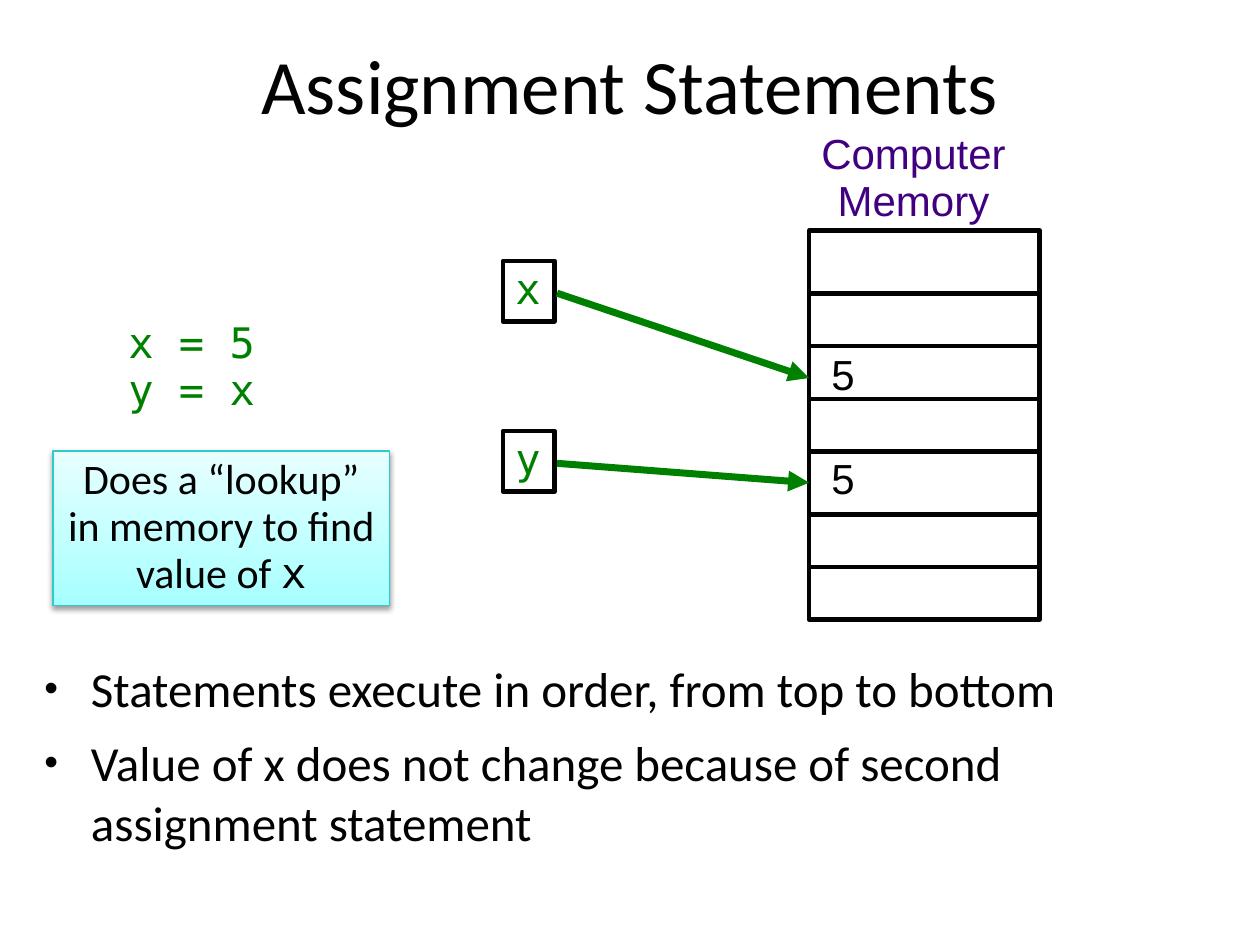
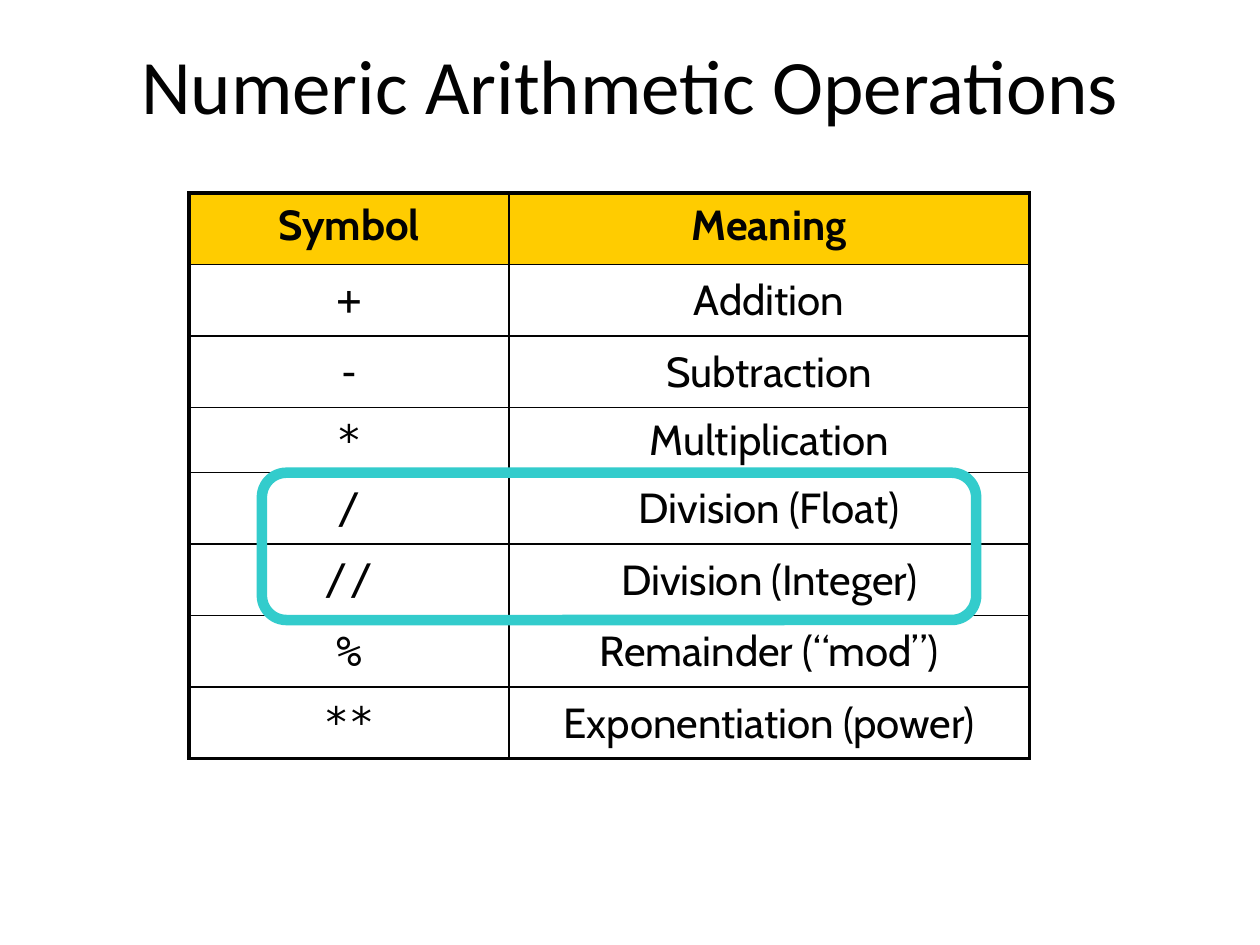
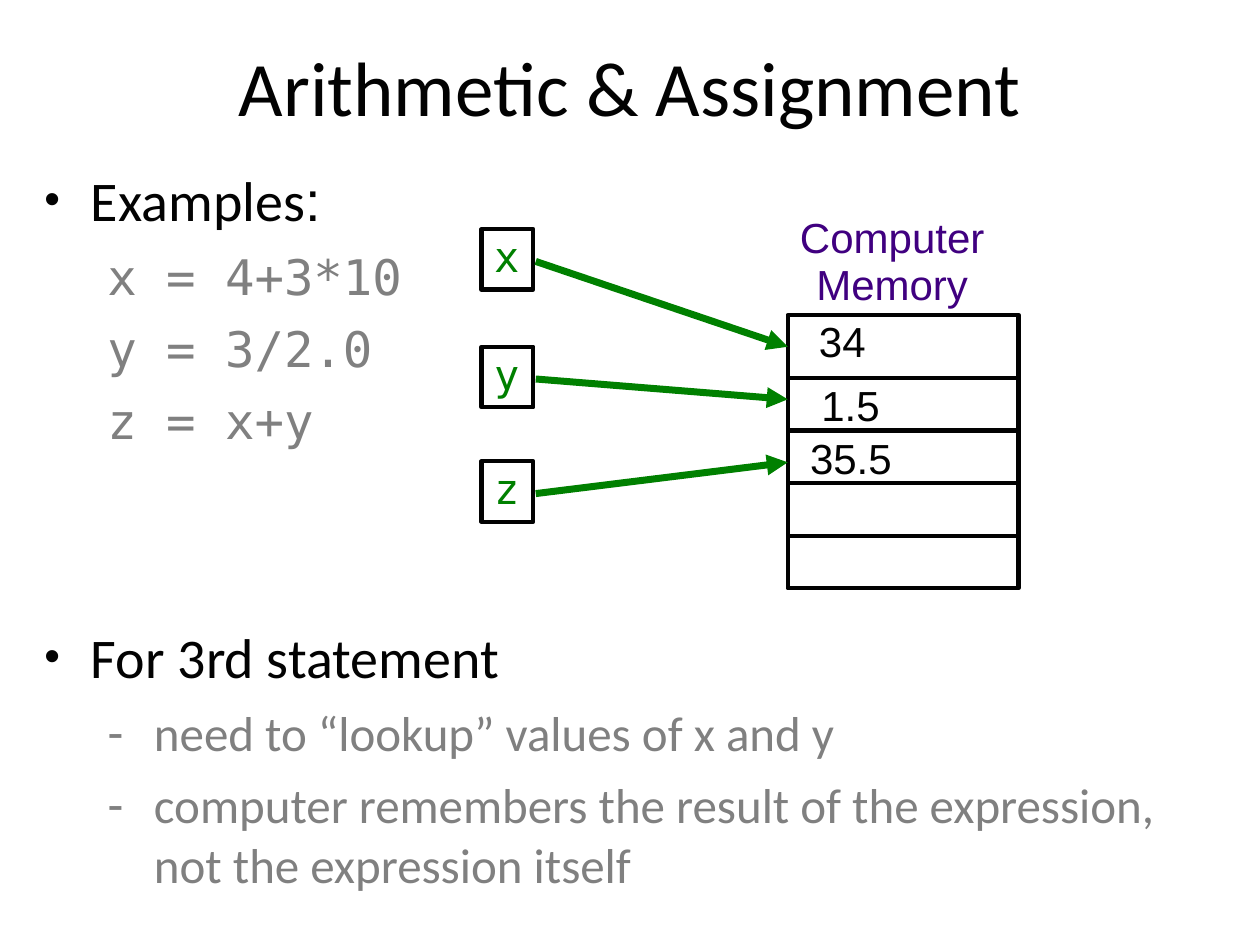
from dataclasses import dataclass

from lxml import etree
from pptx import Presentation
from pptx import util as u
from pptx.dml.color import RGBColor
from pptx.enum import shapes, text
from pptx.oxml.ns import qn

COLORS = {
    "ink": "020202",
    "code": "008000",
    "caption": "400080",
    "sub": "808080",
    "header": "FFCC00",
    "ring": "33CCCC",
    "note_line": "2ECBCB",
    "note_low": "A7FFFF",
    "note_high": "E7FFFF",
    "shadow": "000000",
}
SANS, MONO, ARIAL, TABLE_FONT = "Calibri", "DejaVu Sans Mono", "Arial", "Cabin"
LABEL_SIZE = 24
LABEL_SPACING, BODY_SPACING = 0.93, 1.02


@dataclass(frozen=True)
class Box:
    """A place on the slide, in centimetres."""
    left: float
    top: float
    width: float
    height: float

    def emu(self) -> tuple:
        return tuple(u.Cm(v) for v in (self.left, self.top, self.width, self.height))


@dataclass(frozen=True)
class Item:
    """One paragraph of a body list."""
    text: str
    size: int = 28
    font: str = SANS
    color: str = "ink"
    level: int = 0
    bullet: str = "•"
    before: int = 8
    tail: str = ""


@dataclass(frozen=True)
class Variable:
    """A named box, the height its arrow ends at, and the stored value."""
    name: str
    top: float
    target: float
    value: str
    value_box: Box


@dataclass(frozen=True)
class Memory:
    left: float
    top: float
    rows: tuple
    variables: tuple
    width: float = 4.65


TITLE_BOX = Box(0.64, 0.2, 24.13, 2.95)


# Text and line helpers
def rgb(name: str) -> RGBColor:
    return RGBColor.from_string(COLORS[name])


def style_run(r, size: float, font: str, color: str, bold: bool = False) -> None:
    r.font.size = u.Pt(size)
    r.font.name = font
    r.font.bold = bold
    r.font.color.rgb = rgb(color)


def style_text(tf, size: float, font: str, color: str, spacing: float,
               align=text.PP_ALIGN.LEFT, bold: bool = False) -> None:
    for p in tf.paragraphs:
        p.alignment = align
        p.line_spacing = spacing
        for r in p.runs:
            style_run(r, size, font, color, bold)


def add_label(s, box: Box, words: str, font: str, color: str,
              align=text.PP_ALIGN.LEFT) -> None:
    tf = s.shapes.add_textbox(*box.emu()).text_frame
    tf.word_wrap = False
    tf.text = words
    style_text(tf, LABEL_SIZE, font, color, LABEL_SPACING, align)


def add_outline(s, kind, box: Box, color: str, width: float):
    sp = s.shapes.add_shape(kind, *box.emu())
    sp.shadow.inherit = False
    sp.fill.background()
    sp.line.color.rgb = rgb(color)
    sp.line.width = u.Pt(width)
    return sp


def add_line(s, x1: float, y1: float, x2: float, y2: float, color: str,
             width: float, arrow: bool = False) -> None:
    line = s.shapes.add_connector(shapes.MSO_CONNECTOR.STRAIGHT,
                                  u.Cm(x1), u.Cm(y1), u.Cm(x2), u.Cm(y2))
    line.line.color.rgb = rgb(color)
    line.line.width = u.Pt(width)
    if arrow:
        etree.SubElement(line.line._get_or_add_ln(), qn("a:tailEnd"), type="triangle")
    etree.SubElement(line._element.spPr, qn("a:effectLst"))


# Placeholders
def place(sp, box: Box) -> None:
    sp.left, sp.top, sp.width, sp.height = box.emu()


def add_slide(prs, layout: int, title: str, title_box: Box = TITLE_BOX):
    s = prs.slides.add_slide(prs.slide_layouts[layout])
    place(s.shapes.title, title_box)
    tf = s.shapes.title.text_frame
    tf.text = title
    tf.auto_size = text.MSO_AUTO_SIZE.NONE
    tf.vertical_anchor = text.MSO_ANCHOR.MIDDLE
    style_text(tf, 44, SANS, "ink", BODY_SPACING, text.PP_ALIGN.CENTER)
    return s


def set_bullet(p, item: Item) -> None:
    pPr = p._p.get_or_add_pPr()
    pPr.set("marL", str(u.Cm(0.94 + 1.27 * item.level)))
    pPr.set("indent", str(u.Cm(-0.94)))
    if not item.bullet:
        etree.SubElement(pPr, qn("a:buNone"))
        return
    if item.level == 0:
        etree.SubElement(pPr, qn("a:buSzPct"), val="80000")
    etree.SubElement(pPr, qn("a:buChar"), char=item.bullet)


def fill_body(s, box: Box, items: list[Item]) -> None:
    body = s.placeholders[1]
    place(body, box)
    tf = body.text_frame
    tf.auto_size = text.MSO_AUTO_SIZE.NONE
    for i, item in enumerate(items):
        p = tf.add_paragraph() if i else tf.paragraphs[0]
        p.text = item.text
        p.level = item.level
        p.line_spacing = BODY_SPACING
        p.space_before = u.Pt(item.before)
        set_bullet(p, item)
        for r in p.runs:
            style_run(r, item.size, item.font, item.color)
        if item.tail:
            r = p.add_run()
            r.text = item.tail
            style_run(r, item.size, ARIAL, item.color)


# Memory diagram
def add_variable(s, memory: Memory, var: Variable) -> None:
    box = Box(memory.left - 6.17, var.top, 1.04, 1.22)
    sp = add_outline(s, shapes.MSO_SHAPE.RECTANGLE, box, "ink", 2.5)
    tf = sp.text_frame
    tf.word_wrap = False
    tf.vertical_anchor = text.MSO_ANCHOR.TOP
    tf.text = var.name
    style_text(tf, LABEL_SIZE, MONO, "code", LABEL_SPACING)
    add_line(s, memory.left - 5.08, var.top + 0.65, memory.left, var.target,
             "code", 4, arrow=True)
    add_label(s, var.value_box, var.value, ARIAL, "ink")


def add_memory(s, memory: Memory) -> None:
    frame = Box(memory.left, memory.top, memory.width, sum(memory.rows))
    add_outline(s, shapes.MSO_SHAPE.RECTANGLE, frame, "ink", 2.5)
    add_label(s, Box(memory.left - 0.03, memory.top - 2.11, 4.27, 2.18),
              "Computer\nMemory", ARIAL, "caption", text.PP_ALIGN.CENTER)
    y = memory.top
    for height in memory.rows[:-1]:
        y += height
        add_line(s, memory.left, y, memory.left + memory.width, y, "ink", 2.5)
    for var in memory.variables:
        add_variable(s, memory, var)


# Callout with a gradient and a soft shadow
def add_lookup_note(s, box: Box) -> None:
    sp = add_outline(s, shapes.MSO_SHAPE.RECTANGLE, box, "note_line", 0.75)
    sp.fill.gradient()
    sp.fill.gradient_angle = 90
    for stop, color in zip(sp.fill.gradient_stops, ("note_low", "note_high")):
        stop.color.rgb = rgb(color)
    shadow = etree.SubElement(sp._element.spPr.find(qn("a:effectLst")), qn("a:outerShdw"),
                              blurRad=str(u.Pt(3.1)), dist=str(u.Pt(1.6)),
                              dir="5400000", rotWithShape="0")
    tint = etree.SubElement(shadow, qn("a:srgbClr"), val=COLORS["shadow"])
    etree.SubElement(tint, qn("a:alpha"), val="38000")
    tf = sp.text_frame
    tf.word_wrap = True
    tf.vertical_anchor = text.MSO_ANCHOR.TOP
    tf.text = "Does a “lookup” in memory to find value of "
    style_text(tf, LABEL_SIZE, SANS, "ink", LABEL_SPACING, text.PP_ALIGN.CENTER)
    r = tf.paragraphs[0].add_run()
    r.text = "x"
    style_run(r, LABEL_SIZE, MONO, "ink")


# Table of operators
def set_borders(cell, widths: dict[str, float]) -> None:
    tcPr = cell._tc.get_or_add_tcPr()
    for i, (side, width) in enumerate(widths.items()):
        ln = etree.Element(qn(f"a:ln{side}"), w=str(u.Pt(width)))
        fill = etree.SubElement(ln, qn("a:solidFill"))
        etree.SubElement(fill, qn("a:srgbClr"), val=COLORS["ink"])
        tcPr.insert(i, ln)


def add_operator_table(s, box: Box, rows: list[tuple[str, str]],
                       widths: tuple, heights: list[float]) -> None:
    table = s.shapes.add_table(len(rows), len(widths), *box.emu()).table
    table.first_row = table.horz_banding = False
    for col, width in zip(table.columns, widths):
        col.width = u.Cm(width)
    last_row, last_col = len(rows) - 1, len(widths) - 1
    for i, words in enumerate(rows):
        table.rows[i].height = u.Cm(heights[i])
        for j, word in enumerate(words):
            cell = table.cell(i, j)
            header = i == 0
            if header:
                cell.fill.solid()
                cell.fill.fore_color.rgb = rgb("header")
            else:
                cell.fill.background()
                cell.vertical_anchor = text.MSO_ANCHOR.MIDDLE
            cell.text = word
            font = TABLE_FONT if header or j else MONO
            style_text(cell.text_frame, LABEL_SIZE, font, "ink", BODY_SPACING,
                       text.PP_ALIGN.CENTER, bold=header)
            cell.text_frame.paragraphs[0].space_before = u.Pt(8)
            outer = {"L": j == 0, "R": j == last_col, "T": i == 0, "B": i == last_row}
            set_borders(cell, {side: 2.25 if edge else 1 for side, edge in outer.items()})


# Slides
def assignment_statements(prs) -> None:
    s = add_slide(prs, 1, "Assignment Statements")
    fill_body(s, Box(0.64, 13.13, 24.13, 5.08), [
        Item("Statements execute in order, from top to bottom"),
        Item("Value of x does not change because of second assignment statement"),
    ])
    add_memory(s, Memory(16.31, 4.65, (1.27, 1.06, 1.06, 1.06, 1.27, 1.06, 1.06), (
        Variable("x", 5.26, 7.62, "5", Box(16.51, 6.99, 0.99, 1.19)),
        Variable("y", 8.69, 9.73, "5", Box(16.51, 9.09, 0.99, 1.19)),
    )))
    add_label(s, Box(2.34, 6.35, 3.12, 2.18), "x = 5\ny = x", MONO, "code")
    add_lookup_note(s, Box(1.07, 9.09, 6.78, 3.12))


def arithmetic_operations(prs) -> None:
    s = add_slide(prs, 5, "Numeric Arithmetic Operations")
    rows = [
        ("Symbol", "Meaning"),
        ("+", "Addition"),
        ("-", "Subtraction"),
        ("*", "Multiplication"),
        ("/", "Division (Float)"),
        ("//", "Division (Integer)"),
        ("%", "Remainder (“mod”)"),
        ("**", "Exponentiation (power)"),
    ]
    heights = [1.32 if symbol == "*" else 1.44 for symbol, _ in rows]
    add_operator_table(s, Box(3.81, 3.89, 16.94, 11.4), rows, (6.45, 10.49), heights)
    add_outline(s, shapes.MSO_SHAPE.ROUNDED_RECTANGLE,
                Box(5.28, 9.53, 14.4, 2.97), "ring", 6)


def arithmetic_and_assignment(prs) -> None:
    s = add_slide(prs, 1, "Arithmetic & Assignment", Box(0.64, 0.61, 24.13, 2.18))
    code = [Item(line, 28, MONO, "sub", 1, "", 7)
            for line in ("x = 4+3*10", "y = 3/2.0", "z = x+y")]
    notes = [Item(line, 28, SANS, "sub", 1, "‑", 7) for line in (
        "need to “lookup” values of x and y",
        "computer remembers the result of the expression,\vnot the expression itself",
    )]
    fill_body(s, Box(0.64, 3.18, 24.13, 15.06), [
        Item("Examples", 32, tail=":"), *code,
        Item("For 3rd statement", 32, before=98), *notes,
    ])
    add_memory(s, Memory(15.88, 6.35, (1.27, 1.06, 1.06, 1.06, 1.06), (
        Variable("x", 4.62, 6.99, "34", Box(16.26, 6.32, 1.45, 1.19)),
        Variable("y", 6.99, 8.05, "1.5", Box(16.31, 7.62, 1.7, 1.22)),
        Variable("z", 9.3, 9.32, "35.5", Box(16.08, 8.69, 2.16, 1.19)),
    )))


def main() -> None:
    prs = Presentation()
    prs.slide_width, prs.slide_height = u.Cm(25.4), u.Cm(19.05)
    assignment_statements(prs)
    arithmetic_operations(prs)
    arithmetic_and_assignment(prs)
    prs.save("out.pptx")


if __name__ == "__main__":
    main()
